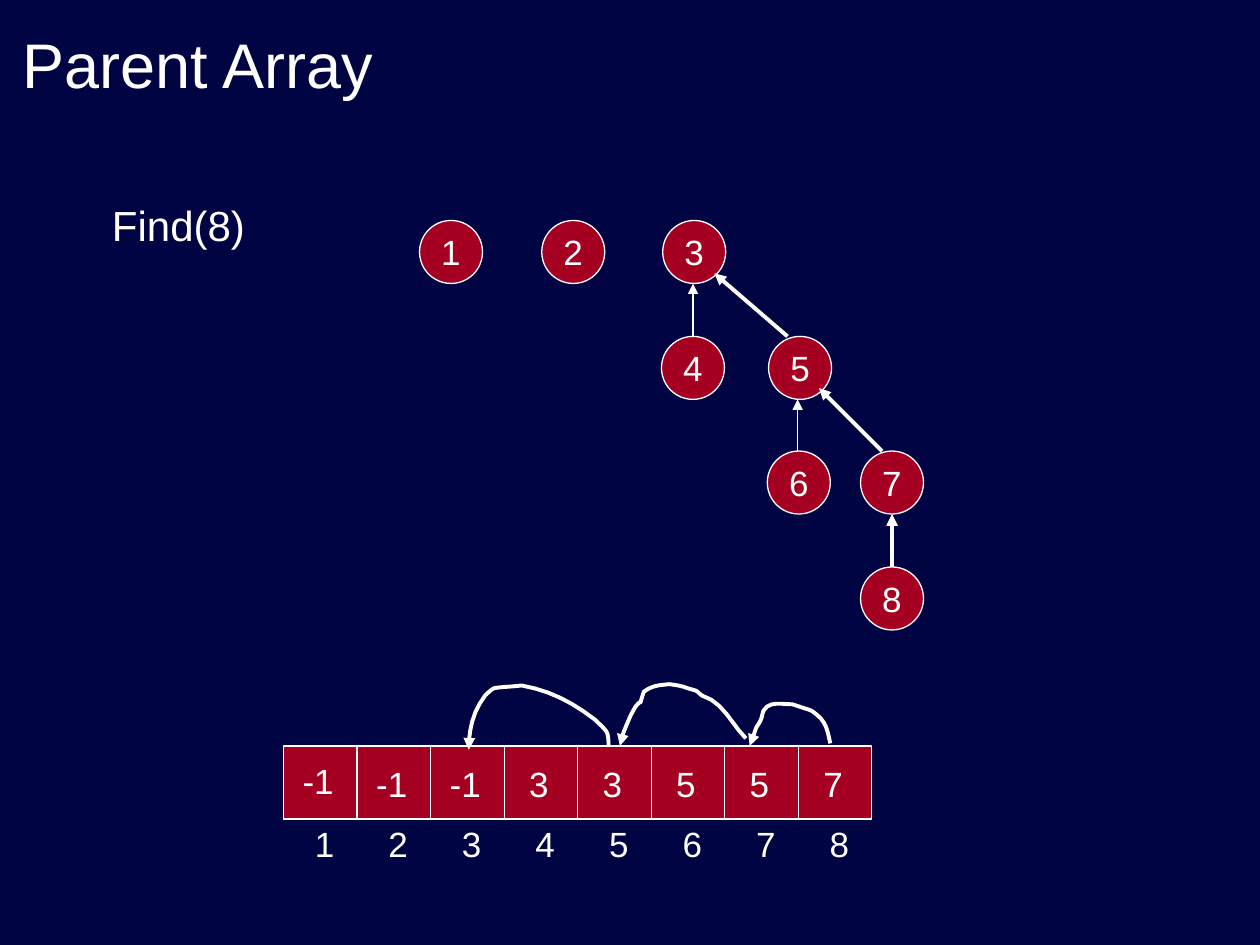
from dataclasses import dataclass

from lxml.etree import SubElement
from pptx import Presentation
from pptx.dml.color import RGBColor
from pptx.enum.shapes import MSO_CONNECTOR as CONN, MSO_SHAPE as SHAPE
from pptx.enum.text import MSO_ANCHOR as ANCHOR, PP_ALIGN as ALIGN
from pptx.oxml.ns import qn
from pptx.util import Inches, Pt


@dataclass(frozen=True)
class Theme:
    background: RGBColor = RGBColor(0x01, 0x04, 0x42)
    red: RGBColor = RGBColor(0xA5, 0x00, 0x21)
    white: RGBColor = RGBColor(0xFF, 0xFF, 0xFF)
    font: str = "Arial"
    title: int = 36
    body: int = 24
    label: int = 20
    thin: float = 0.75
    thick: float = 2.25


T = Theme()

# Tree: top-left corner of each node; start, end and width of each arrow
DIAMETER = 0.5
NODES = {
    1: (3.33, 1.75), 2: (4.3, 1.75), 3: (5.26, 1.75), 4: (5.25, 2.67),
    5: (6.1, 2.67), 6: (6.09, 3.58), 7: (6.83, 3.58), 8: (6.83, 4.5),
}
EDGES = [
    ((6.33, 3.58), (6.33, 3.17), T.thin),
    ((7.08, 4.5), (7.08, 4.08), T.thick),
    ((7, 3.58), (6.5, 3.08), T.thick),
    ((5.5, 2.67), (5.5, 2.25), T.thin),
    ((6.25, 2.67), (5.67, 2.17), T.thick),
]

# Parent array
PARENTS = [-1, -1, -1, 3, 3, 5, 5, 7]
ARRAY_LEFT, ARRAY_TOP = 2.25, 5.92
ARRAY_WIDTH, ARRAY_HEIGHT = 4.67, 0.58
CELL = ARRAY_WIDTH / len(PARENTS)

# Jumps along the array: a start point, then three points per cubic curve
JUMPS = [
    [(6.59, 5.9), (6.57, 5.81), (6.56, 5.73), (6.48, 5.67),
     (6.43, 5.63), (6.44, 5.64), (6.38, 5.62),
     (6.35, 5.61), (6.29, 5.59), (6.29, 5.59),
     (6.2, 5.59), (6.11, 5.56), (6.06, 5.64),
     (6.05, 5.66), (6.05, 5.7), (6.03, 5.73),
     (6.02, 5.75), (6.01, 5.76), (6, 5.78),
     (5.99, 5.81), (5.98, 5.84), (5.97, 5.87),
     (5.96, 5.89), (5.95, 5.92), (5.95, 5.92)],
    [(5.92, 5.86), (5.8, 5.74), (5.74, 5.57), (5.57, 5.52),
     (5.51, 5.47), (5.55, 5.49), (5.45, 5.46),
     (5.41, 5.44), (5.31, 5.43), (5.31, 5.43),
     (5.22, 5.44), (5.18, 5.44), (5.11, 5.49),
     (5.06, 5.64), (5.11, 5.53), (5.05, 5.6),
     (5.03, 5.63), (5, 5.69), (5, 5.69),
     (4.98, 5.74), (4.92, 5.87), (4.92, 5.92)],
    [(4.83, 5.92), (4.83, 5.89), (4.83, 5.86), (4.82, 5.82),
     (4.81, 5.79), (4.75, 5.74), (4.72, 5.71),
     (4.54, 5.57), (4.36, 5.48), (4.14, 5.44),
     (4.07, 5.45), (4, 5.45), (3.93, 5.46),
     (3.91, 5.46), (3.86, 5.51), (3.85, 5.52),
     (3.75, 5.65), (3.72, 5.8), (3.72, 5.95)],
]


def write(tf, text, size, align=ALIGN.CENTER):
    p = tf.paragraphs[0]
    p.alignment = align
    r = p.add_run()
    r.text = str(text)
    r.font.name, r.font.size = T.font, Pt(size)
    r.font.color.rgb = T.white
    return p


def add_text(s, text, left, top, width, height, size=T.label, align=ALIGN.CENTER):
    tf = s.shapes.add_textbox(*map(Inches, (left, top, width, height))).text_frame
    tf.word_wrap = align == ALIGN.LEFT
    return write(tf, text, size, align)


def add_box(s, kind, left, top, width, height):
    sp = s.shapes.add_shape(kind, *map(Inches, (left, top, width, height)))
    sp.shadow.inherit = False
    sp.fill.solid()
    sp.fill.fore_color.rgb = T.red
    sp.line.color.rgb, sp.line.width = T.white, Pt(T.thin)
    return sp


def add_node(s, number, left, top):
    tf = add_box(s, SHAPE.OVAL, left, top, DIAMETER, DIAMETER).text_frame
    tf.margin_left = tf.margin_right = tf.margin_top = tf.margin_bottom = 0
    tf.vertical_anchor = ANCHOR.MIDDLE
    tf.word_wrap = False
    write(tf, number, T.label)


def add_arrowhead(sp):
    ln = sp._element.spPr.find(qn("a:ln"))
    SubElement(ln, qn("a:tailEnd"), type="triangle")


def add_line(s, start, end, width=T.thin, arrow=False):
    line = s.shapes.add_connector(CONN.STRAIGHT, *map(Inches, (*start, *end)))
    line.line.color.rgb, line.line.width = T.white, Pt(width)
    SubElement(line._element.spPr, qn("a:effectLst"))
    if arrow:
        add_arrowhead(line)


def curve_points(points, steps=6):
    """Sample a chain of cubic curves."""
    result = [points[0]]
    for i in range(0, len(points) - 1, 3):
        for step in range(1, steps + 1):
            t = step / steps
            u = 1 - t
            weights = (u**3, 3 * u * u * t, 3 * u * t * t, t**3)
            result.append(tuple(
                sum(w * c for w, c in zip(weights, axis))
                for axis in zip(*points[i:i + 4])
            ))
    return result


def add_jump(s, points):
    start, *rest = [(Inches(x), Inches(y)) for x, y in curve_points(points)]
    builder = s.shapes.build_freeform(*start)
    builder.add_line_segments(rest, close=False)
    sp = builder.convert_to_shape()
    sp.shadow.inherit = False
    sp.fill.background()
    sp.line.color.rgb, sp.line.width = T.white, Pt(T.thick)
    add_arrowhead(sp)


def add_array(s):
    add_box(s, SHAPE.RECTANGLE, ARRAY_LEFT, ARRAY_TOP, ARRAY_WIDTH, ARRAY_HEIGHT)
    for i, parent in enumerate(PARENTS):
        left = ARRAY_LEFT + i * CELL
        if i:
            add_line(s, (left, ARRAY_TOP), (left, ARRAY_TOP + ARRAY_HEIGHT))
        add_text(s, parent, left + 0.05, 6 if i else 5.98, 0.45, 0.44)
        add_text(s, i + 1, left + 0.15, 6.48, 0.35, 0.44)


def add_title(s, text):
    title = s.shapes.title
    title.left, title.top, title.width, title.height = map(Inches, (0.08, 0, 9, 1))
    title.text_frame.vertical_anchor = ANCHOR.MIDDLE
    write(title.text_frame, text, T.title, ALIGN.LEFT)


def main():
    prs = Presentation()
    prs.slide_width, prs.slide_height = Inches(10), Inches(7.5)
    s = prs.slides.add_slide(prs.slide_layouts[5])
    s.background.fill.solid()
    s.background.fill.fore_color.rgb = T.background

    # Heading and operation
    add_title(s, "Parent Array")
    p = add_text(s, "Find(8)", 0.79, 1.58, 2.45, 0.46, T.body, ALIGN.LEFT)
    p.line_spacing = 0.9

    # Tree
    for number, (left, top) in NODES.items():
        add_node(s, number, left, top)
    for start, end, width in EDGES:
        add_line(s, start, end, width, arrow=True)

    # Array and the jumps of the search
    add_array(s)
    for points in JUMPS:
        add_jump(s, points)

    prs.save("out.pptx")


if __name__ == "__main__":
    main()
